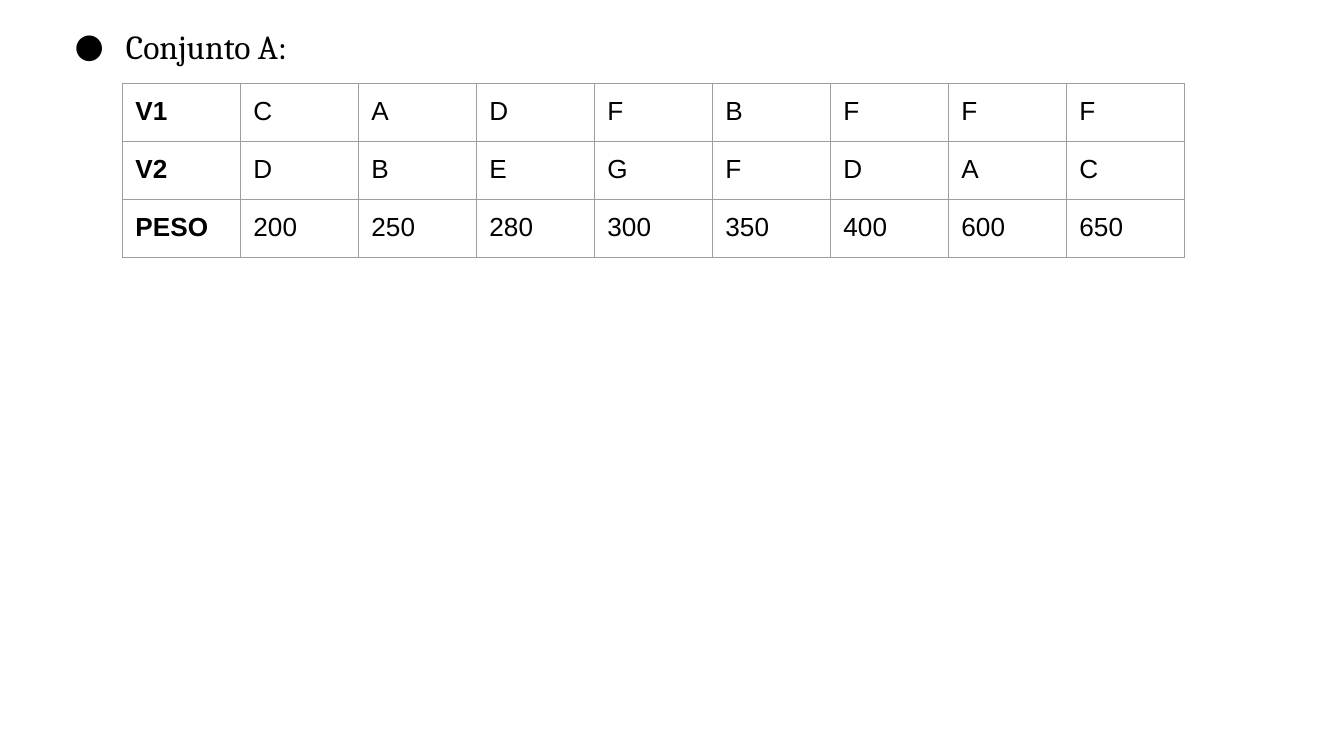
"""Build a slide listing the weighted edges of Conjunto A in a table."""
from dataclasses import dataclass

from lxml.etree import SubElement
from pptx import Presentation
from pptx.dml.color import RGBColor
from pptx.oxml.ns import qn
from pptx.slide import Slide
from pptx.table import _Cell
from pptx.text.text import _Paragraph
from pptx.util import Cm, Pt


@dataclass(frozen=True)
class Theme:
    text: str = "000000"
    border: str = "9E9E9E"
    border_width: float = 0.75
    heading_font: str = "Cambria"
    heading_size: int = 18
    table_font: str = "Arial"
    table_size: int = 14


@dataclass(frozen=True)
class EdgeRow:
    label: str
    values: tuple[str, ...]


THEME = Theme()
INSET = Cm(0.25)
COLUMN_WIDTH = Cm(2.23)
ROW_HEIGHT = Cm(1.06)
EDGE_ROWS = (
    EdgeRow("V1", ("C", "A", "D", "F", "B", "F", "F", "F")),
    EdgeRow("V2", ("D", "B", "E", "G", "F", "D", "A", "C")),
    EdgeRow("PESO", ("200", "250", "280", "300", "350", "400", "600", "650")),
)


def set_font(paragraph: _Paragraph, name: str, size: int, bold: bool = False) -> None:
    font = paragraph.font
    font.name, font.size, font.bold = name, Pt(size), bold
    font.color.rgb = RGBColor.from_string(THEME.text)


def set_bullet(paragraph: _Paragraph, character: str) -> None:
    properties = paragraph._p.get_or_add_pPr()
    properties.set("marL", str(Cm(1.27)))
    properties.set("indent", str(-Cm(0.97)))
    color = SubElement(properties, qn("a:buClr"))
    SubElement(color, qn("a:srgbClr"), val=THEME.text)
    SubElement(properties, qn("a:buFont"), typeface=THEME.heading_font)
    SubElement(properties, qn("a:buChar"), char=character)


def set_borders(cell: _Cell) -> None:
    properties = cell._tc.get_or_add_tcPr()
    for side in ("lnL", "lnR", "lnT", "lnB"):
        line = SubElement(properties, qn(f"a:{side}"), w=str(Pt(THEME.border_width)))
        fill = SubElement(line, qn("a:solidFill"))
        SubElement(fill, qn("a:srgbClr"), val=THEME.border)


def add_heading(slide: Slide, text: str) -> None:
    shape = slide.shapes.add_textbox(Cm(0.86), Cm(0.13), Cm(23.67), Cm(12.57))
    frame = shape.text_frame
    frame.word_wrap = True
    frame.margin_left = frame.margin_right = INSET
    frame.margin_top = frame.margin_bottom = INSET
    paragraph = frame.paragraphs[0]
    paragraph.text = text
    set_bullet(paragraph, "●")
    paragraph.line_spacing = 1.15
    set_font(paragraph, THEME.heading_font, THEME.heading_size)


def fill_cell(cell: _Cell, text: str, bold: bool) -> None:
    cell.margin_left = cell.margin_right = INSET
    cell.margin_top = cell.margin_bottom = INSET
    set_borders(cell)
    cell.fill.background()
    paragraph = cell.text_frame.paragraphs[0]
    paragraph.text = text
    set_font(paragraph, THEME.table_font, THEME.table_size, bold)


def add_edge_table(slide: Slide, rows: tuple[EdgeRow, ...]) -> None:
    column_count = len(rows[0].values) + 1
    table = slide.shapes.add_table(
        len(rows), column_count, Cm(2.31), Cm(1.58),
        COLUMN_WIDTH * column_count, ROW_HEIGHT * len(rows),
    ).table
    table.first_row = table.horz_banding = False
    for column in table.columns:
        column.width = COLUMN_WIDTH
    for row_index, row in enumerate(rows):
        table.rows[row_index].height = ROW_HEIGHT
        for column_index, text in enumerate((row.label, *row.values)):
            fill_cell(table.cell(row_index, column_index), text, column_index == 0)


def main() -> None:
    presentation = Presentation()
    presentation.slide_width, presentation.slide_height = Cm(25.4), Cm(14.29)
    slide = presentation.slides.add_slide(presentation.slide_layouts[6])
    add_heading(slide, "Conjunto A:")
    add_edge_table(slide, EDGE_ROWS)
    presentation.save("out.pptx")


if __name__ == "__main__":
    main()
